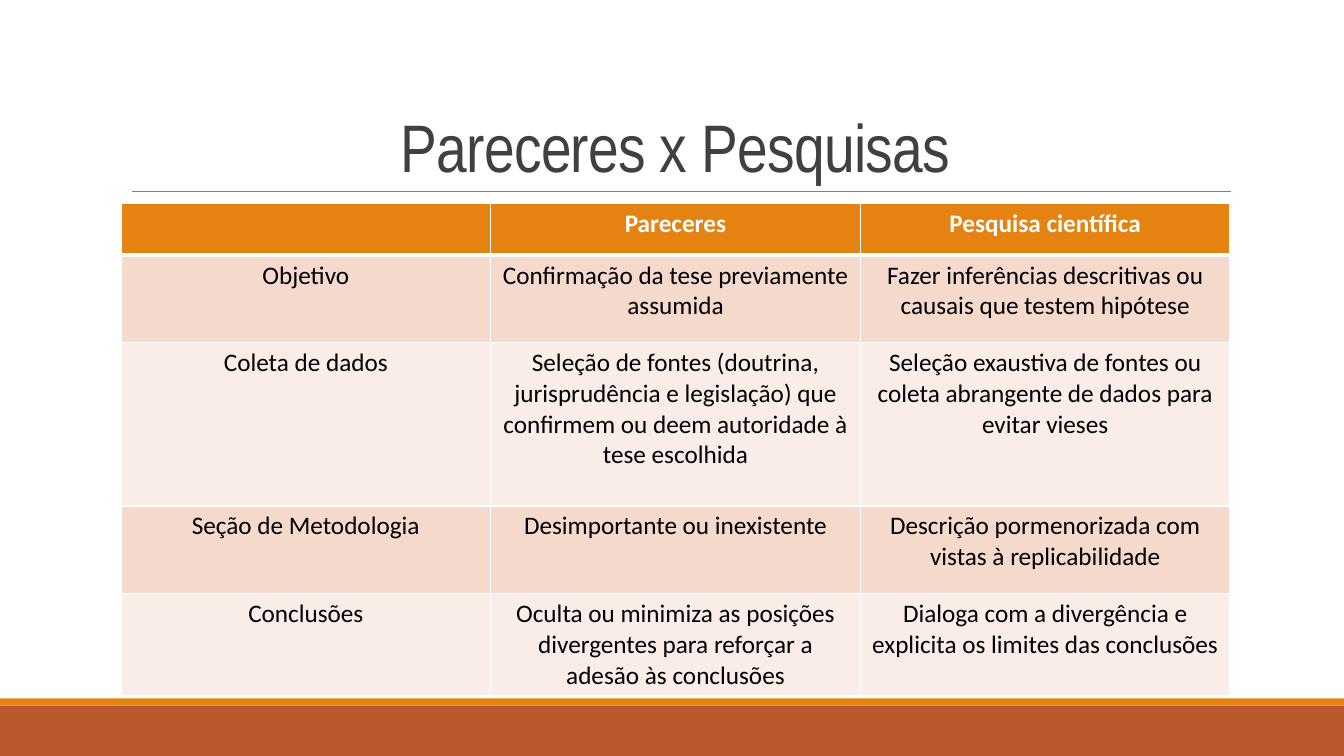
from lxml import etree
from pptx import Presentation
from pptx.dml.color import RGBColor
from pptx.enum.shapes import MSO_CONNECTOR, MSO_SHAPE
from pptx.enum.text import MSO_ANCHOR, PP_ALIGN
from pptx.oxml import parse_xml
from pptx.oxml.ns import nsdecls, qn
from pptx.util import Inches, Pt

# Content
TITLE = "Pareceres x Pesquisas"
ROWS = [
    ("", "Pareceres", "Pesquisa científica"),
    ("Objetivo", "Confirmação da tese previamente assumida",
     "Fazer inferências descritivas ou causais que testem hipótese"),
    ("Coleta de dados",
     "Seleção de fontes (doutrina, jurisprudência e legislação) que confirmem "
     "ou deem autoridade à tese escolhida",
     "Seleção exaustiva de fontes ou coleta abrangente de dados para evitar vieses"),
    ("Seção de Metodologia", "Desimportante ou inexistente",
     "Descrição pormenorizada com vistas à replicabilidade"),
    ("Conclusões",
     "Oculta ou minimiza as posições divergentes para reforçar a adesão às conclusões",
     "Dialoga com a divergência e explicita os limites das conclusões"),
]
ROW_HEIGHTS = [0.51, 0.87, 1.62, 0.87, 1.01]

ORANGE = RGBColor(0xE4, 0x83, 0x12)
RUST = RGBColor(0xBD, 0x58, 0x2C)
BAND_DARK = RGBColor(0xF5, 0xD9, 0xCC)
BAND_LIGHT = RGBColor(0xFA, 0xED, 0xE7)
GRAY = RGBColor(0x80, 0x80, 0x80)
DARK = RGBColor(0x40, 0x40, 0x40)
WHITE = RGBColor(0xFF, 0xFF, 0xFF)
BLACK = RGBColor(0, 0, 0)

SLIDE_W, SLIDE_H = 13.33, 7.5
LEFT, WIDTH = 1.2, 11
FOOTER = [(7, 0.5, RUST), (6.93, 0.07, ORANGE)]  # top, height, colour


def set_borders(cell, bottom):
    """White cell borders, 1 pt except for the bottom one."""
    tc_pr = cell._tc.get_or_add_tcPr()
    for side, width in (("L", 1), ("R", 1), ("T", 1), ("B", bottom)):
        tc_pr.append(parse_xml(
            f'<a:ln{side} {nsdecls("a")} w="{Pt(width)}"><a:solidFill>'
            f'<a:srgbClr val="{WHITE}"/></a:solidFill></a:ln{side}>'))


prs = Presentation()
prs.slide_width, prs.slide_height = Inches(SLIDE_W), Inches(SLIDE_H)
s = prs.slides.add_slide(prs.slide_layouts[6])

# Footer bands
for top, height, color in FOOTER:
    sp = s.shapes.add_shape(MSO_SHAPE.RECTANGLE, 0, Inches(top),
                            prs.slide_width, Inches(height))
    sp.shadow.inherit = False
    sp.fill.solid()
    sp.fill.fore_color.rgb = color
    sp.line.fill.background()

# Rule under the title
rule = s.shapes.add_connector(MSO_CONNECTOR.STRAIGHT, Inches(1.31), Inches(1.9),
                              Inches(12.21), Inches(1.9))
rule.line.color.rgb = GRAY
rule.line.width = Pt(0.5)
etree.SubElement(rule._element.spPr, qn("a:effectLst"))

# Title
tf = s.shapes.add_textbox(Inches(LEFT), Inches(0.31), Inches(WIDTH), Inches(1.59)).text_frame
tf.word_wrap = True
tf.vertical_anchor = MSO_ANCHOR.BOTTOM
tf.text = TITLE
p = tf.paragraphs[0]
p.alignment = PP_ALIGN.CENTER
p.line_spacing = 0.85
r = p.runs[0]
r.font.name, r.font.size = "Arial Narrow", Pt(48)
r.font.color.rgb = DARK
r.font._element.set("spc", "-50")

# Comparison table
table = s.shapes.add_table(len(ROWS), len(ROWS[0]), Inches(LEFT), Inches(2.02),
                           Inches(WIDTH), Inches(sum(ROW_HEIGHTS))).table
for i, (texts, height) in enumerate(zip(ROWS, ROW_HEIGHTS)):
    table.rows[i].height = Inches(height)
    header = i == 0
    fill = ORANGE if header else BAND_DARK if i % 2 else BAND_LIGHT
    for j, text in enumerate(texts):
        cell = table.cell(i, j)
        set_borders(cell, 3 if header else 1)
        cell.fill.solid()
        cell.fill.fore_color.rgb = fill
        cell.text = text
        p = cell.text_frame.paragraphs[0]
        p.alignment = PP_ALIGN.CENTER
        p.font.size = Pt(18)
        for r in p.runs:
            r.font.name, r.font.size, r.font.bold = "Calibri", Pt(18), header
            r.font.color.rgb = WHITE if header else BLACK

prs.save("out.pptx")
